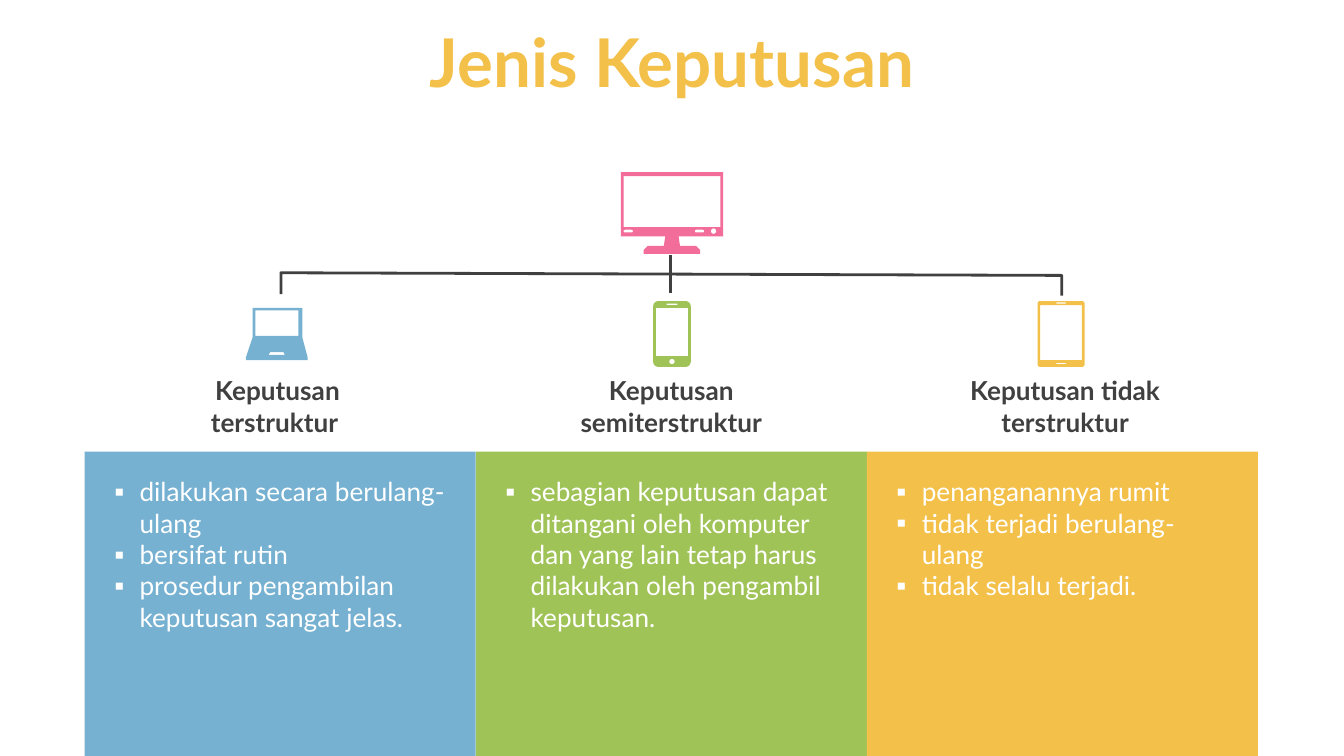
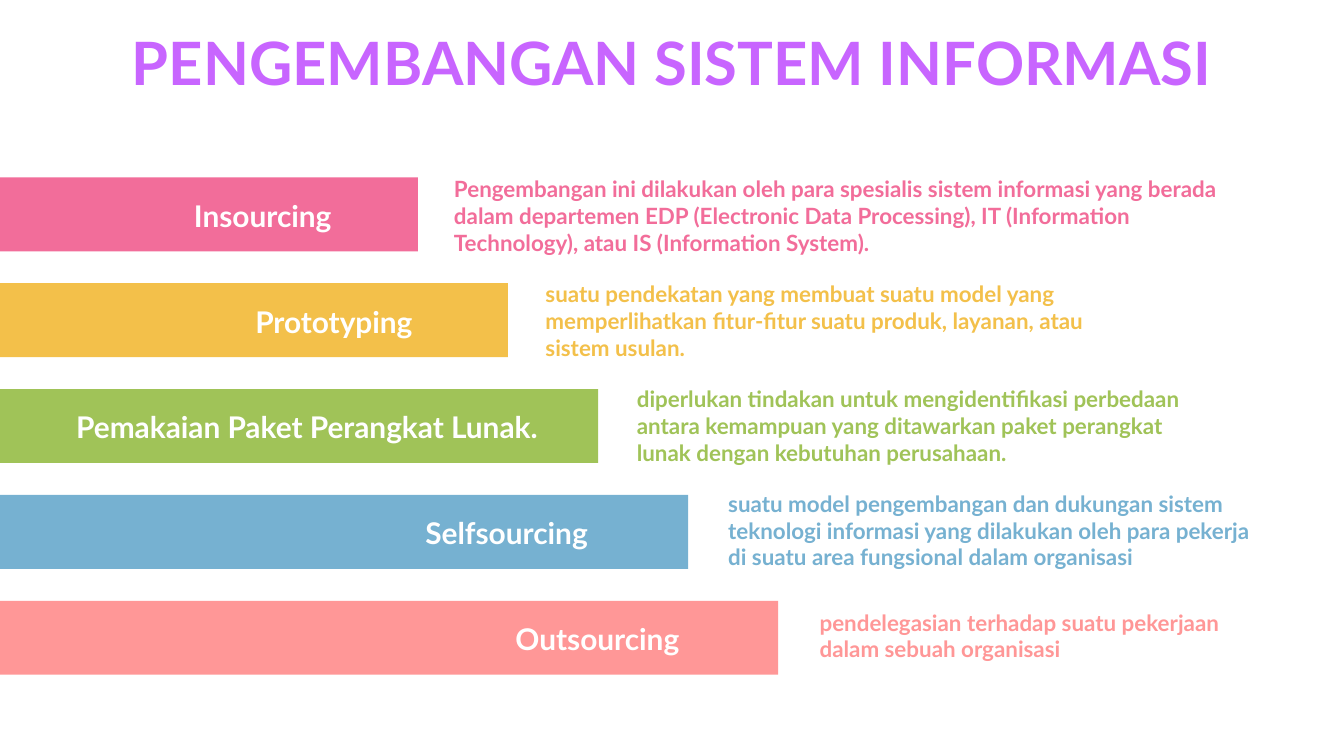
from dataclasses import dataclass
from math import cos, pi, sin

from lxml.etree import SubElement
from pptx import Presentation
from pptx.dml.color import RGBColor
from pptx.enum.shapes import MSO_CONNECTOR as Connector, MSO_SHAPE as Shape
from pptx.enum.text import MSO_ANCHOR as Anchor, MSO_AUTO_SIZE as AutoSize, PP_ALIGN as Align
from pptx.oxml.ns import qn
from pptx.util import Inches, Pt


@dataclass(frozen=True)
class Theme:
    font: str = "Lato"
    pink: str = "F26D9A"
    yellow: str = "F3C04A"
    green: str = "A0C358"
    blue: str = "76B1D1"
    coral: str = "FF9797"
    purple: str = "C865FF"
    dark: str = "404040"
    white: str = "FFFFFF"
    title_size: int = 36
    long_title_size: int = 32
    bar_size: int = 16
    body_size: int = 14
    description_size: int = 12
    line_width: float = 1.5
    bullet_indent: float = 0.19


THEME = Theme()


@dataclass(frozen=True)
class Box:
    left: float
    top: float
    width: float
    height: float

    def inner(self, left, top, width, height):
        return Box(self.left + left, self.top + top, width, height)

    def lengths(self):
        return [Inches(value) for value in (self.left, self.top, self.width, self.height)]


PAGE = Box(0, 0, 10, 10 * 9 / 16)


def color(value):
    return RGBColor.from_string(value)


def write_text(frame, lines, size=THEME.body_size, fill=THEME.dark, bold=False,
               align=Align.LEFT, anchor=Anchor.TOP, bullet=None):
    frame.word_wrap = True
    frame.auto_size = AutoSize.NONE
    frame.vertical_anchor = anchor
    frame.margin_left = frame.margin_right = Inches(0.1)
    frame.margin_top = frame.margin_bottom = Inches(0.05)
    for index, line in enumerate(lines):
        paragraph = frame.add_paragraph() if index else frame.paragraphs[0]
        paragraph.alignment = align
        if bullet:
            properties = paragraph._p.get_or_add_pPr()
            properties.set("marL", str(Inches(THEME.bullet_indent)))
            properties.set("indent", str(-Inches(THEME.bullet_indent)))
            SubElement(properties, qn("a:buFont")).set("typeface", THEME.font)
            SubElement(properties, qn("a:buChar")).set("char", bullet)
        run = paragraph.add_run()
        run.text = line
        run.font.name = THEME.font
        run.font.size = Pt(size)
        run.font.bold = bold
        run.font.color.rgb = color(fill)


def add_text(slide, box, *lines, **text_format):
    write_text(slide.shapes.add_textbox(*box.lengths()).text_frame, lines, **text_format)


def add_title_slide(presentation, title, **text_format):
    slide = presentation.slides.add_slide(presentation.slide_layouts[5])
    shape = slide.shapes.title
    shape.left, shape.top, shape.width, shape.height = PAGE.inner(0, 0.03, 10, 0.85).lengths()
    write_text(shape.text_frame, [title], bold=True, align=Align.CENTER,
               anchor=Anchor.MIDDLE, **text_format)
    return slide


def fill_shape(shape, fill):
    shape.shadow.inherit = False
    shape.fill.solid()
    shape.fill.fore_color.rgb = color(fill)
    shape.line.fill.background()


def add_band(slide, box, fill):
    fill_shape(slide.shapes.add_shape(Shape.RECTANGLE, *box.lengths()), fill)


def rectangle(left, top, width, height):
    right, bottom = left + width, top + height
    return [(left, top), (right, top), (right, bottom), (left, bottom)]


def rounded(left, top, width, height, radius, steps=6):
    centers = rectangle(left + radius, top + radius, width - 2 * radius, height - 2 * radius)
    points = []
    for corner, (x, y) in enumerate(centers):
        for step in range(steps + 1):
            angle = pi + (corner + step / steps) * pi / 2
            points.append((x + radius * cos(angle), y + radius * sin(angle)))
    return points


def build_outline(shapes, box, contours, close=True):
    placed = [[(Inches(box.left + x), Inches(box.top + y)) for x, y in contour]
              for contour in contours]
    builder = shapes.build_freeform(*placed[0][0], scale=1.0)
    for index, points in enumerate(placed):
        if index:
            builder.move_to(*points[0])
        builder.add_line_segments(points[1:], close=close)
    return builder.convert_to_shape()


def add_monitor(slide, box):
    body = [(0, 0), (0.76, 0), (0.76, 0.48), (0.43, 0.48), (0.44, 0.55), (0.56, 0.55),
            (0.59, 0.58), (0.59, 0.61), (0.17, 0.61), (0.17, 0.58), (0.2, 0.55),
            (0.32, 0.55), (0.33, 0.48), (0, 0.48)]
    fill_shape(build_outline(slide.shapes, box, [
        body,
        rectangle(0.02, 0.03, 0.72, 0.38),
        rounded(0.02, 0.43, 0.07, 0.02, 0.01),
        rounded(0.55, 0.43, 0.07, 0.02, 0.01),
        rounded(0.67, 0.42, 0.04, 0.04, 0.02),
    ]), THEME.pink)


def add_laptop(slide, box):
    body = [(0.05, 0), (0.42, 0), (0.42, 0.22), (0.46, 0.37), (0.46, 0.39),
            (0, 0.39), (0, 0.37), (0.05, 0.22)]
    touchpad = [(0.18, 0.33), (0.28, 0.33), (0.29, 0.35), (0.17, 0.35)]
    fill_shape(build_outline(slide.shapes, box, [
        body, rectangle(0.07, 0.02, 0.32, 0.19), touchpad]), THEME.blue)


def add_phone(slide, box):
    fill_shape(build_outline(slide.shapes, box, [
        rounded(0, 0, 0.28, 0.49, 0.04),
        rectangle(0.02, 0.05, 0.24, 0.36),
        rectangle(0.1, 0.02, 0.08, 0.01),
        rounded(0.12, 0.43, 0.04, 0.04, 0.02),
    ]), THEME.green)


def add_tablet(slide, box):
    fill_shape(build_outline(slide.shapes, box, [
        rounded(0, 0, 0.35, 0.49, 0.02),
        rectangle(0.02, 0.03, 0.31, 0.41),
        rectangle(0.14, 0.01, 0.07, 0.01),
        rectangle(0.14, 0.46, 0.07, 0.01),
    ]), THEME.yellow)


def add_branches(slide, box):
    group = slide.shapes.add_group_shape()
    bracket = build_outline(group.shapes, box, [
        [(0, 0.29), (0, 0.13), (5.81, 0.15), (5.81, 0.3)]], close=False)
    bracket.shadow.inherit = False
    bracket.fill.background()
    stem_x = Inches(box.left + 2.9)
    stem = group.shapes.add_connector(Connector.STRAIGHT, stem_x, Inches(box.top),
                                      stem_x, Inches(box.top + 0.28))
    SubElement(stem._element.spPr, qn("a:effectLst"))
    for shape in (bracket, stem):
        shape.line.color.rgb = color(THEME.dark)
        shape.line.width = Pt(THEME.line_width)


def add_decision_panel(slide, box, fill, points):
    add_band(slide, box, fill)
    add_text(slide, box.inner(0.12, 0.13, 2.68, 1.28), *points, fill=THEME.white, bullet="▪")


def add_decision_slide(presentation):
    slide = add_title_slide(presentation, "Jenis Keputusan",
                            size=THEME.title_size, fill=THEME.yellow)
    add_monitor(slide, PAGE.inner(4.62, 1.28, 0.76, 0.61))
    add_branches(slide, PAGE.inner(2.09, 1.9, 5.81, 0.3))
    add_laptop(slide, PAGE.inner(1.83, 2.29, 0.46, 0.39))
    add_phone(slide, PAGE.inner(4.86, 2.24, 0.28, 0.49))
    add_tablet(slide, PAGE.inner(7.72, 2.24, 0.35, 0.49))
    decisions = [
        ("Keputusan terstruktur ", THEME.blue,
         ["dilakukan secara berulang-ulang", "bersifat rutin",
          "prosedur pengambilan keputusan sangat jelas."]),
        ("Keputusan semiterstruktur", THEME.green,
         ["sebagian keputusan dapat ditangani oleh komputer dan yang lain tetap harus "
          "dilakukan oleh pengambil keputusan."]),
        ("Keputusan tidak terstruktur", THEME.yellow,
         ["penanganannya rumit", "tidak terjadi berulang-ulang", "tidak selalu terjadi."]),
    ]
    panel_top = 3.36
    for index, (label, fill, points) in enumerate(decisions):
        add_text(slide, PAGE.inner(1.01 + 2.93 * index, 2.74, 2.11, 0.57), label,
                 bold=True, align=Align.CENTER)
        panel = PAGE.inner(0.63 + 2.91 * index, panel_top, 2.91, PAGE.height - panel_top)
        add_decision_panel(slide, panel, fill, points)


def add_method_bar(slide, box, label, label_left, label_width, fill):
    add_band(slide, box, fill)
    add_text(slide, box.inner(label_left, 0.1, label_width, 0.37), label,
             size=THEME.bar_size, fill=THEME.white, bold=True, align=Align.CENTER)


def add_development_slide(presentation):
    slide = add_title_slide(presentation, "PENGEMBANGAN SISTEM INFORMASI",
                            size=THEME.long_title_size, fill=THEME.purple)
    methods = [
        ("Insourcing", 1.11, 1.69, THEME.pink, 5.97, 0.71,
         "Pengembangan ini dilakukan oleh para spesialis sistem informasi yang berada dalam "
         "departemen EDP (Electronic Data Processing), IT (Information Technology), atau IS "
         "(Information System)."),
        ("Prototyping", 1.7, 1.57, THEME.yellow, 4.58, 0.71,
         "suatu pendekatan yang membuat suatu model yang memperlihatkan fitur-fitur suatu "
         "produk, layanan, atau sistem usulan."),
        ("Pemakaian Paket Perangkat Lunak.", 0.35, 3.87, THEME.green, 4.45, 0.71,
         "diperlukan tindakan untuk mengidentifikasi perbedaan antara kemampuan yang "
         "ditawarkan paket perangkat lunak dengan kebutuhan perusahaan."),
        ("Selfsourcing", 2.9, 1.74, THEME.blue, 4.24, 0.71,
         "suatu model pengembangan dan dukungan sistem teknologi informasi yang dilakukan "
         "oleh para pekerja di suatu area fungsional dalam organisasi"),
        ("Outsourcing", 3.5, 1.89, THEME.coral, 3.36, 0.5,
         "pendelegasian terhadap suatu pekerjaan dalam sebuah organisasi"),
    ]
    first_top, last_top = 1.32, 4.47
    row_step = (last_top - first_top) / (len(methods) - 1)
    for index, method in enumerate(methods):
        label, label_left, label_width, fill, width, height, description = method
        bar = PAGE.inner(0, first_top + row_step * index, 3.11 + 0.67 * index, 0.55)
        add_method_bar(slide, bar, label, label_left, label_width, fill)
        middle = 1.61 + 0.78 * index
        add_text(slide, PAGE.inner(3.28 + 0.68 * index, middle - height / 2, width, height),
                 description, size=THEME.description_size, fill=fill, bold=True)


def main():
    presentation = Presentation()
    presentation.slide_width = Inches(PAGE.width)
    presentation.slide_height = Inches(PAGE.height)
    add_decision_slide(presentation)
    add_development_slide(presentation)
    presentation.save("out.pptx")


if __name__ == "__main__":
    main()
